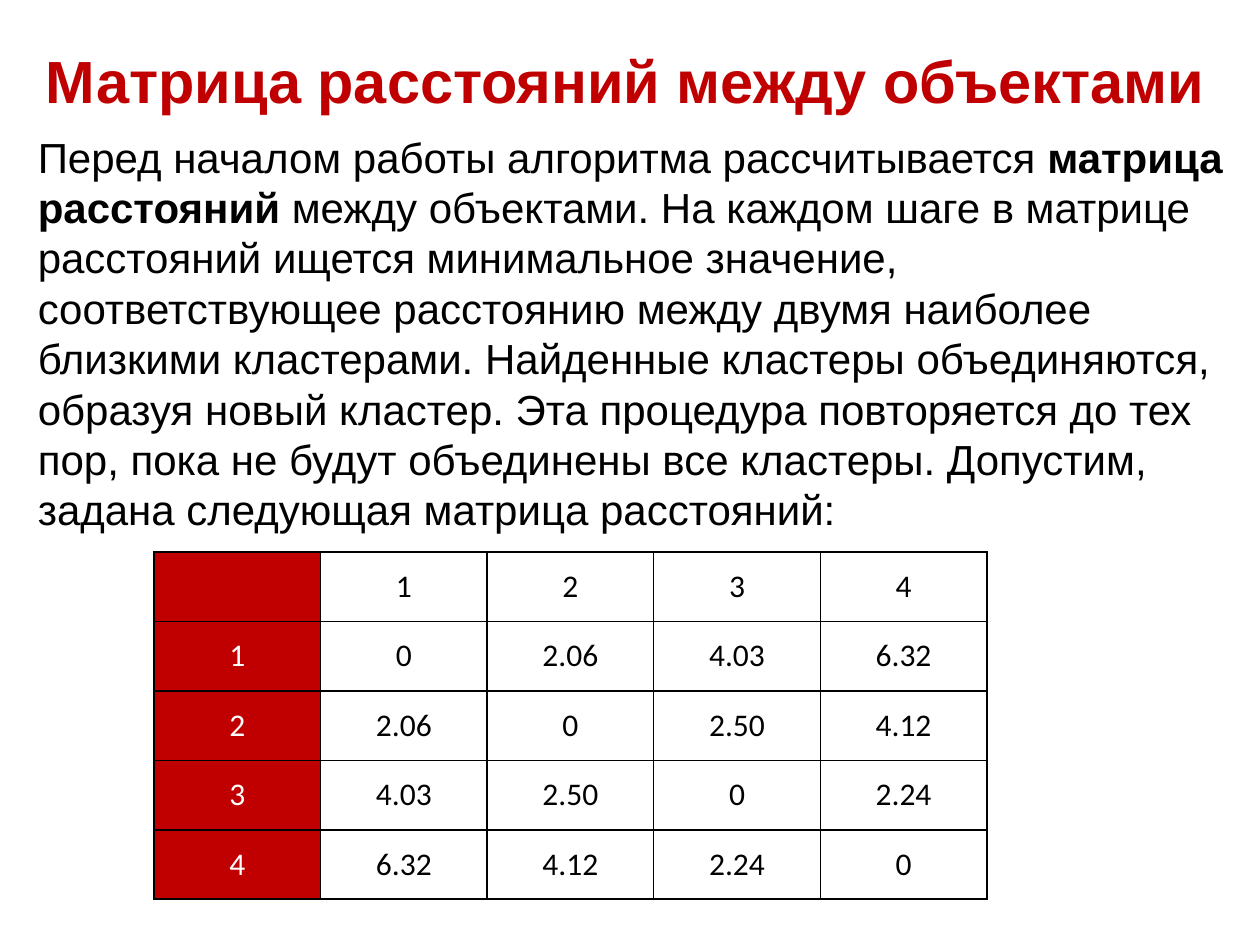
from dataclasses import dataclass

from lxml import etree
from pptx import Presentation
from pptx.dml.color import RGBColor
from pptx.enum.text import MSO_ANCHOR, MSO_AUTO_SIZE, PP_ALIGN
from pptx.oxml.ns import qn
from pptx.util import Pt

CENTER, LEFT = PP_ALIGN.CENTER, PP_ALIGN.LEFT
MIDDLE, TOP = MSO_ANCHOR.MIDDLE, MSO_ANCHOR.TOP
NO_AUTOFIT = MSO_AUTO_SIZE.NONE


@dataclass(frozen=True)
class Theme:
    """Colours, fonts and type sizes of the slide."""
    accent: str = "C00000"
    ink: str = "000000"
    paper: str = "FFFFFF"
    text_font: str = "Arial"
    table_font: str = "Calibri"
    title_size: float = 34
    body_size: float = 24
    table_size: float = 18
    border_width: float = 1


THEME = Theme()
TITLE = "Матрица расстояний между объектами"
BODY = [
    ("Перед началом работы алгоритма рассчитывается ", False),
    ("матрица расстояний", True),
    (" между объектами. На каждом шаге в матрице расстояний ищется "
     "минимальное значение, соответствующее расстоянию между двумя наиболее "
     "близкими кластерами. Найденные кластеры объединяются, образуя новый "
     "кластер. Эта процедура повторяется до тех пор, пока не будут объединены "
     "все кластеры. Допустим, задана следующая матрица расстояний:", False),
]
DISTANCES = [
    ["", "1", "2", "3", "4"],
    ["1", "0", "2.06", "4.03", "6.32"],
    ["2", "2.06", "0", "2.50", "4.12"],
    ["3", "4.03", "2.50", "0", "2.24"],
    ["4", "6.32", "4.12", "2.24", "0"],
]


def style_font(font, name, size, color):
    """Set the typeface, size and colour of a font."""
    font.name = name
    font.size = Pt(size)
    font.color.rgb = RGBColor.from_string(color)


def place(shape, left, top, width, height, anchor):
    """Move a placeholder and fix its text frame."""
    shape.left, shape.top = Pt(left), Pt(top)
    shape.width, shape.height = Pt(width), Pt(height)
    frame = shape.text_frame
    frame.word_wrap = True
    frame.auto_size = NO_AUTOFIT
    frame.vertical_anchor = anchor
    return frame.paragraphs[0]


def fill_title(shape):
    """Write the slide title."""
    paragraph = place(shape, 14.4, 20.2, 686, 51, MIDDLE)
    paragraph.text = TITLE
    paragraph.alignment = CENTER
    style_font(paragraph.font, THEME.text_font, THEME.title_size, THEME.accent)
    paragraph.font.bold = True


def fill_body(shape):
    """Write the unbulleted paragraph with its bold term."""
    paragraph = place(shape, 14.4, 71.3, 692, 238.3, TOP)
    paragraph.alignment = LEFT
    paragraph.space_before = Pt(5.8)
    style_font(paragraph.font, THEME.text_font, THEME.body_size, THEME.ink)
    for text, bold in BODY:
        run = paragraph.add_run()
        run.text = text
        run.font.bold = bold
    properties = paragraph._p.get_or_add_pPr()
    properties.set("marL", "0")
    properties.set("indent", "0")
    bullet = etree.Element(qn("a:buNone"))
    properties.find(qn("a:spcBef")).addnext(bullet)


def add_borders(cell):
    """Draw a thin line on all four sides of a cell."""
    properties = cell._tc.get_or_add_tcPr()
    for position, side in enumerate(("lnL", "lnR", "lnT", "lnB")):
        line = etree.Element(qn(f"a:{side}"), w=str(Pt(THEME.border_width)))
        fill = etree.SubElement(line, qn("a:solidFill"))
        etree.SubElement(fill, qn("a:srgbClr"), val=THEME.ink)
        properties.insert(position, line)


def fill_cell(cell, text, fill, color):
    """Write and format one table cell."""
    cell.fill.solid()
    cell.fill.fore_color.rgb = RGBColor.from_string(fill)
    cell.vertical_anchor = MIDDLE
    paragraph = cell.text_frame.paragraphs[0]
    paragraph.text = text
    paragraph.alignment = CENTER
    style_font(paragraph.font, THEME.table_font, THEME.table_size, color)
    paragraph.font.bold = False
    add_borders(cell)


def add_matrix(slide, left, top, column_width, row_height):
    """Add the distance matrix with a coloured first column."""
    count = len(DISTANCES)
    table = slide.shapes.add_table(
        count, count, Pt(left), Pt(top),
        Pt(column_width * count), Pt(row_height * count)).table
    table.first_row = table.horz_banding = False
    for row, values in enumerate(DISTANCES):
        for column, text in enumerate(values):
            heading = column == 0
            fill_cell(table.cell(row, column), text,
                      THEME.accent if heading else THEME.paper,
                      THEME.paper if heading else THEME.ink)


def main():
    """Build and save the slide."""
    presentation = Presentation()
    presentation.slide_width, presentation.slide_height = Pt(720), Pt(540)
    slide = presentation.slides.add_slide(presentation.slide_layouts[1])
    fill_title(slide.shapes.title)
    fill_body(slide.placeholders[1])
    add_matrix(slide, 88, 315.4, 95.2, 39.7)
    presentation.save("out.pptx")


main()
